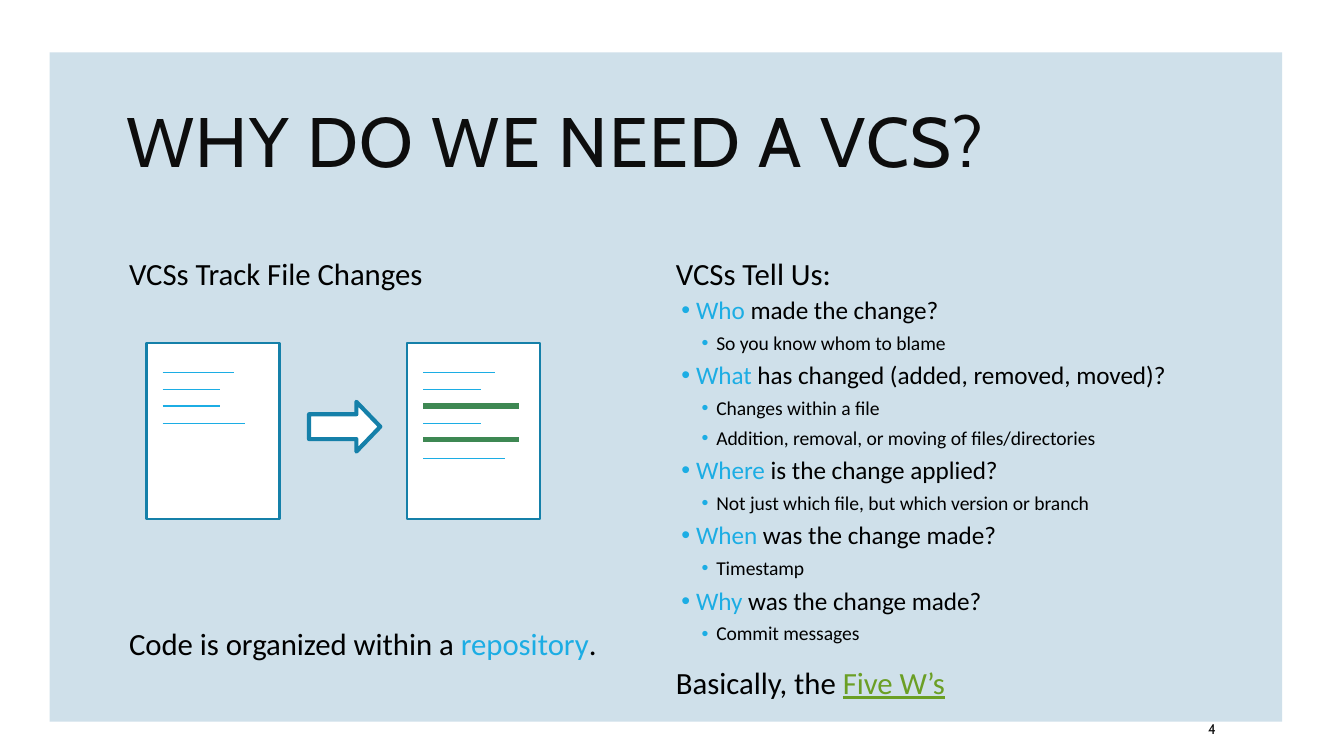
from lxml.etree import SubElement
from pptx import Presentation
from pptx.dml.color import RGBColor
from pptx.enum.shapes import MSO_CONNECTOR, MSO_SHAPE
from pptx.enum.text import MSO_ANCHOR, MSO_AUTO_SIZE, PP_ALIGN
from pptx.oxml.ns import qn
from pptx.util import Inches, Pt

PANEL, WHITE, INK, BLACK = "CFE0EA", "FFFFFF", "0D0D0D", "000000"
ACCENT, OUTLINE, ADDED, LINK = "1CADE4", "1580A9", "3E8853", "6B9F25"

# Paragraph formats by level: size, left margin, hanging indent, spacing
LEVELS = [
    dict(size=16.5, margin=0.07, hang=0, before=9, after=1.5),
    dict(size=13.5, margin=0.22, hang=0.11, before=1.5, after=3),
    dict(size=10.5, margin=0.37, hang=0.11, before=1.5, after=3),
]

QUESTIONS = [
    ("Who", " made the change?", ["So you know whom to blame"]),
    ("What", " has changed (added, removed, moved)?",
     ["Changes within a file", "Addition, removal, or moving of files/directories"]),
    ("Where", " is the change applied?",
     ["Not just which file, but which version or branch"]),
    ("When", " was the change made?", ["Timestamp"]),
    ("Why", " was the change made?", ["Commit messages"]),
]

# Lines on each page: offset from page top, length, colour, weight
OLD_LINES = [(0.22, 0.53, ACCENT, 0.75), (0.35, 0.43, ACCENT, 0.75),
             (0.47, 0.43, ACCENT, 0.75), (0.6, 0.61, ACCENT, 0.75)]
NEW_LINES = OLD_LINES[:2] + [
    (0.47, 0.71, ADDED, 3.25), (0.6, 0.43, ACCENT, 0.75),
    (0.72, 0.71, ADDED, 2.75), (0.86, 0.61, ACCENT, 0.75)]


def color(value):
    return RGBColor.from_string(value)


def set_attributes(target, values):
    for name, value in values.items():
        setattr(target, name, value)


def add_run(paragraph, text, size, hue, font="Calibri", underline=None):
    run = paragraph.add_run()
    run.text = text
    set_attributes(run.font, dict(name=font, size=Pt(size), underline=underline))
    run.font.color.rgb = color(hue)
    return run


def add_shape(slide, kind, box, fill, line=None, weight=1.25):
    shape = slide.shapes.add_shape(kind, *map(Inches, box))
    shape.shadow.inherit = False
    shape.fill.solid()
    shape.fill.fore_color.rgb = color(fill)
    if line:
        shape.line.color.rgb = color(line)
        shape.line.width = Pt(weight)
    else:
        shape.line.fill.background()
    return shape


def add_line(slide, left, top, length, hue, weight):
    line = slide.shapes.add_connector(
        MSO_CONNECTOR.STRAIGHT, *map(Inches, (left, top, left + length, top)))
    line.line.color.rgb = color(hue)
    line.line.width = Pt(weight)
    SubElement(line._element.spPr, qn("a:effectLst"))


def add_page(slide, left, top, lines):
    add_shape(slide, MSO_SHAPE.RECTANGLE, (left, top, 0.99, 1.31), WHITE, OUTLINE)
    for offset, length, hue, weight in lines:
        add_line(slide, left + 0.12, top + offset, length, hue, weight)


def add_text_box(slide, box, inset=0.05, anchor=MSO_ANCHOR.TOP):
    frame = slide.shapes.add_textbox(*map(Inches, box)).text_frame
    set_attributes(frame, dict(
        word_wrap=True, vertical_anchor=anchor,
        margin_left=Inches(inset), margin_right=Inches(inset),
        margin_top=Inches(0.05), margin_bottom=Inches(0.05)))
    return frame


def add_paragraph(frame, level, runs, before=None):
    """Fill the first empty paragraph or a new one; runs are (text, colour)."""
    first = frame.paragraphs[0]
    paragraph = frame.add_paragraph() if first.runs else first
    style = LEVELS[level]
    set_attributes(paragraph, dict(
        level=level, line_spacing=0.9, space_after=Pt(style["after"]),
        space_before=Pt(before or style["before"])))
    properties = paragraph._p.get_or_add_pPr()
    properties.set("marL", str(Inches(style["margin"])))
    properties.set("indent", str(-Inches(style["hang"])))
    if style["hang"]:
        bullet_color = SubElement(properties, qn("a:buClr"))
        SubElement(bullet_color, qn("a:srgbClr"), val=ACCENT)
        SubElement(properties, qn("a:buFont"), typeface="Arial")
        SubElement(properties, qn("a:buChar"), char="•")
    else:
        SubElement(properties, qn("a:buNone"))
    for text, hue in runs:
        add_run(paragraph, text, style["size"], hue, underline=hue == LINK or None)


def set_title(slide, text):
    title = slide.shapes.title
    box = (0.84, 0.48, 7.97, 1.23)
    set_attributes(title, dict(zip(("left", "top", "width", "height"), map(Inches, box))))
    set_attributes(title.text_frame, dict(
        word_wrap=True, auto_size=MSO_AUTO_SIZE.NONE, vertical_anchor=MSO_ANCHOR.MIDDLE))
    paragraph = title.text_frame.paragraphs[0]
    set_attributes(paragraph, dict(alignment=PP_ALIGN.LEFT, line_spacing=0.8))
    run = add_run(paragraph, text, 37.5, INK, "Cabin")
    run.font._element.set("spc", "75")


def main():
    # Widescreen, 16:9
    presentation = Presentation()
    presentation.slide_width = Inches(10)
    presentation.slide_height = Inches(10 * 9 / 16)
    slide = presentation.slides.add_slide(presentation.slide_layouts[5])

    # Background panel, kept behind the title
    panel = add_shape(slide, MSO_SHAPE.RECTANGLE, (0.37, 0.39, 9.17, 4.98), PANEL)
    slide.shapes.title._element.addprevious(panel._element)
    set_title(slide, "WHY DO WE NEED A VCS?")

    # Left column, with room for the drawing between its paragraphs
    left = add_text_box(slide, (0.84, 1.88, 3.9, 3.3))
    add_paragraph(left, 0, [("VCSs Track File Changes", BLACK)])
    add_paragraph(left, 0, [("Code is organized within a ", BLACK),
                            ("repository", ACCENT), (".", BLACK)], before=179)

    # Right column
    right = add_text_box(slide, (4.91, 1.88, 3.9, 3.57))
    add_paragraph(right, 0, [("VCSs Tell Us:", BLACK)])
    for word, rest, details in QUESTIONS:
        add_paragraph(right, 1, [(word, ACCENT), (rest, BLACK)])
        for detail in details:
            add_paragraph(right, 2, [(detail, BLACK)])
    add_paragraph(right, 0, [("Basically, the ", BLACK), ("Five W’s", LINK)])

    # File before and after the change
    add_page(slide, 3.03, 2.55, NEW_LINES)
    arrow = add_shape(slide, MSO_SHAPE.RIGHT_ARROW, (2.3, 2.99, 0.53, 0.37),
                      WHITE, OUTLINE, 2.25)
    arrow.adjustments[1] = 0.48
    add_page(slide, 1.09, 2.55, OLD_LINES)

    # Slide number
    number = add_text_box(slide, (8.89, 5.31, 0.8, 0.23), 0.1, MSO_ANCHOR.MIDDLE)
    add_run(number.paragraphs[0], "4", 7.5, INK, "Cabin")

    presentation.save("out.pptx")


if __name__ == "__main__":
    main()
